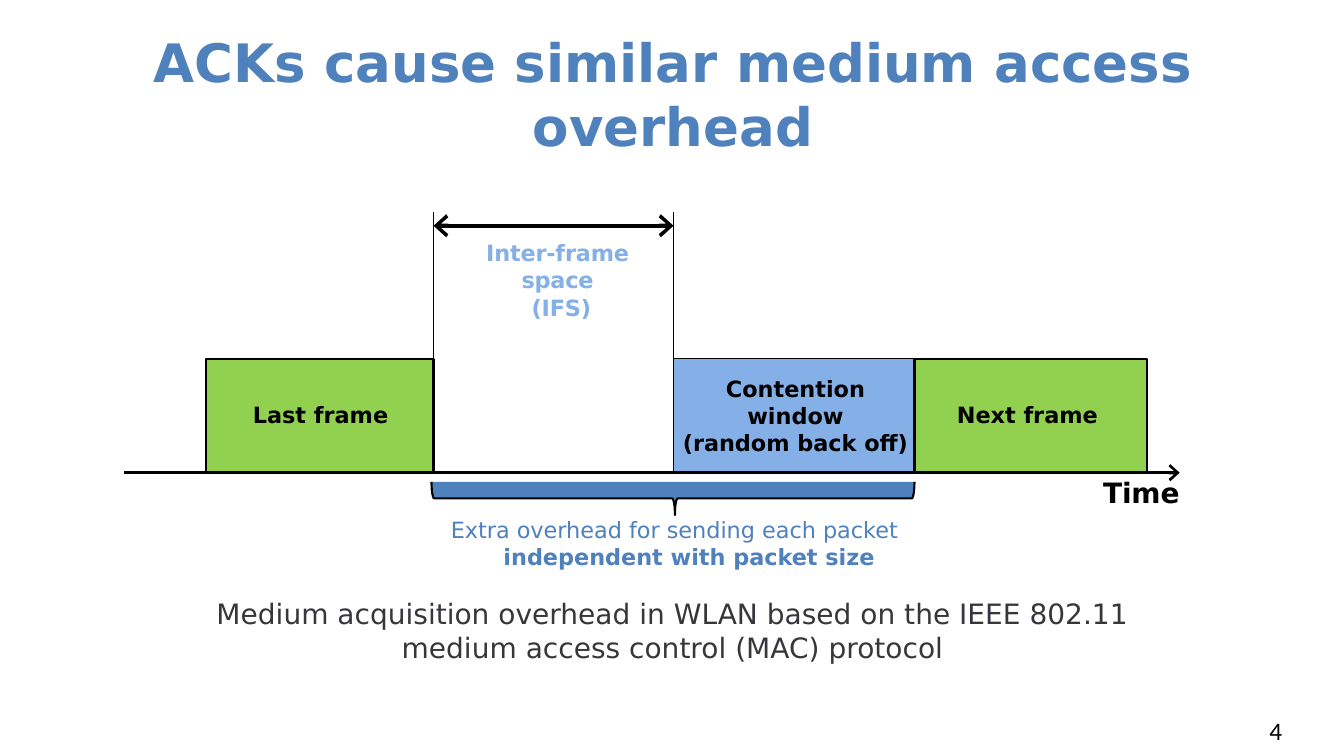
from lxml import etree
from pptx import Presentation
from pptx.dml.color import RGBColor
from pptx.enum import shapes, text
from pptx.oxml import ns
from pptx.util import Inches, Pt

FONT = "DejaVu Sans"
COLORS = {"blue": "4F81BD", "light": "85AFE7", "green": "92D050",
          "black": "000000", "gray": "36363D"}

# Edges of the frames on the time axis, in inches
LAST, IFS, CONTENTION, NEXT, END = 2.04, 4.3, 6.68, 9.07, 11.38
FRAME_TOP, FRAME_HEIGHT, AXIS_Y = 3.56, 1.12, 4.69
TIGHT = (0, 0.01, 0, 0)
NO_INSET = (0, 0, 0, 0)
PADDED = (0.1, 0.05, 0.1, 0.05)


def rgb(name):
    return RGBColor.from_string(COLORS[name])


def add_text(slide, box, lines, size, color="black", bold=False, insets=PADDED,
             align=text.PP_ALIGN.CENTER, anchor=text.MSO_ANCHOR.TOP,
             font=FONT, before=0, spacing=0):
    frame = slide.shapes.add_textbox(*map(Inches, box)).text_frame
    frame.word_wrap = True
    frame.vertical_anchor = anchor
    for side, inset in zip(("left", "top", "right", "bottom"), insets):
        setattr(frame, f"margin_{side}", Inches(inset))
    for index, line in enumerate(lines):
        paragraph = frame.add_paragraph() if index else frame.paragraphs[0]
        paragraph.alignment = align
        paragraph.space_before = Pt(before)
        run = paragraph.add_run()
        run.text = line
        for key, value in {"name": font, "size": Pt(size), "bold": bold}.items():
            setattr(run.font, key, value)
        run.font.color.rgb = rgb(color)
        if spacing:
            run.font._element.set("spc", str(spacing))


def add_block(slide, kind, box, fill, line_width):
    shape = slide.shapes.add_shape(kind, *map(Inches, box))
    shape.shadow.inherit = False
    shape.fill.solid()
    shape.fill.fore_color.rgb = rgb(fill)
    shape.line.color.rgb = rgb("black")
    shape.line.width = Pt(line_width)
    return shape


def add_line(slide, start, end, width, arrows=()):
    connector = slide.shapes.add_connector(
        shapes.MSO_CONNECTOR.STRAIGHT, *map(Inches, start + end))
    connector.line.color.rgb = rgb("black")
    connector.line.width = Pt(width)
    for arrow in arrows:
        etree.SubElement(connector.line._get_or_add_ln(), ns.qn(f"a:{arrow}"),
                         type="arrow", w="lg", len="med")
    etree.SubElement(connector._element.spPr, ns.qn("a:effectLst"))


def add_brace(slide):
    # Turned so that its tip points down
    brace = add_block(slide, shapes.MSO_SHAPE.LEFT_BRACE,
                      (6.51, 2.55, 0.33, 4.79), "blue", 1.5)
    brace.adjustments[0] = 0.083
    brace.adjustments[1] = 0.496
    brace.rotation = 90
    brace._element.spPr.xfrm.set("flipH", "1")


def main():
    presentation = Presentation()
    presentation.slide_width = Inches(13.33)
    presentation.slide_height = Inches(7.5)
    slide = presentation.slides.add_slide(presentation.slide_layouts[6])

    # Title
    add_text(slide, (0.02, 0.3, 13.31, 1.25),
             ["ACKs cause similar medium access overhead"], 37.8, "blue", True,
             anchor=text.MSO_ANCHOR.MIDDLE)

    # Frames
    for left, right, fill, width in ((LAST, IFS, "green", 1.5),
                                     (CONTENTION, NEXT, "light", 0.75),
                                     (NEXT, END, "green", 1.5)):
        add_block(slide, shapes.MSO_SHAPE.RECTANGLE,
                  (left, FRAME_TOP, right - left, FRAME_HEIGHT), fill, width)
    add_text(slide, (2, 3.93, 2.36, 0.37), ["Last frame"], 16, bold=True)
    add_text(slide, (6.59, 3.67, 2.6, 0.91),
             ["Contention window", "(random back off)"], 16, bold=True)
    add_text(slide, (9.01, 3.93, 2.36, 0.37), ["Next frame"], 16, bold=True)

    # Inter-frame space
    for edge in (IFS, CONTENTION):
        add_line(slide, (edge, 2.1), (edge, 3.58), 0.75)
    add_line(slide, (IFS, 2.24), (CONTENTION, 2.24), 3, ("headEnd", "tailEnd"))
    add_text(slide, (4.47, 2.36, 2.12, 0.84), ["Inter-frame space", " (IFS)"],
             16, "light", True, TIGHT, before=1, spacing=-10)

    # Time axis
    add_line(slide, (1.23, AXIS_Y), (11.7, AXIS_Y), 2.25, ("tailEnd",))
    add_text(slide, (10.94, 4.71, 0.89, 0.35), ["Time"], 20, bold=True,
             insets=TIGHT, align=text.PP_ALIGN.LEFT, before=1, spacing=-10)

    # Overhead brace and its label
    add_brace(slide)
    add_text(slide, (4.05, 5.12, 5.28, 0.33),
             ["Extra overhead for sending each packet"], 16, "blue",
             insets=NO_INSET)
    add_text(slide, (4.59, 5.39, 4.49, 0.3), ["independent with packet size"],
             16, "blue", True, NO_INSET)

    # Caption and page number
    add_text(slide, (1.67, 5.92, 10, 0.84),
             ["Medium acquisition overhead in WLAN based on the IEEE 802.11 "
              "medium access control (MAC) protocol"], 20, "gray",
             insets=NO_INSET)
    add_text(slide, (12.49, 7.05, 0.65, 0.4), ["4"], 18, font="Calibri",
             align=text.PP_ALIGN.LEFT)

    presentation.save("out.pptx")


if __name__ == "__main__":
    main()
